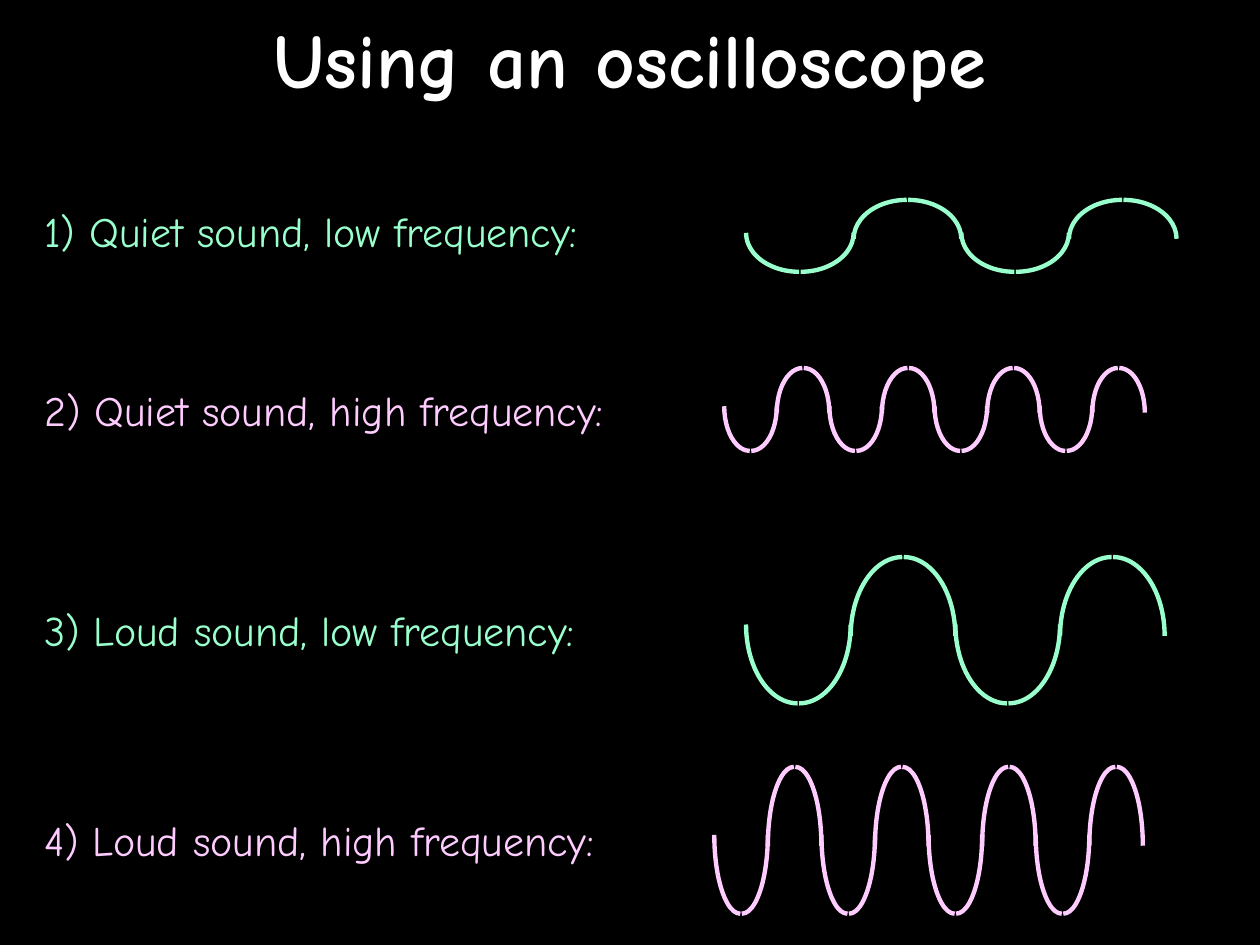
from pptx import Presentation
from pptx.dml.color import RGBColor
from pptx.enum.shapes import MSO_SHAPE
from pptx.enum.text import MSO_ANCHOR, PP_ALIGN
from pptx.util import Cm, Pt

ARC = MSO_SHAPE.ARC
MIDDLE = MSO_ANCHOR.MIDDLE
TOP = MSO_ANCHOR.TOP
CENTER = PP_ALIGN.CENTER
LEFT = PP_ALIGN.LEFT

COLORS = {"black": "000000", "white": "FFFFFF", "mint": "99FFCC", "pink": "FFCCFF"}
FONT = "Comic Neue"
ADJUSTMENT_PER_DEGREE = 0.6
SEAM = 0.03

prs = Presentation()
prs.slide_width = Cm(25.4)
prs.slide_height = Cm(19.05)
slide = prs.slides.add_slide(prs.slide_layouts[6])
slide.background.fill.solid()
slide.background.fill.fore_color.rgb = RGBColor.from_string(COLORS["black"])


def add_text(words, left, top, width, height, size, color, bold, align, anchor):
    frame = slide.shapes.add_textbox(Cm(left), Cm(top), Cm(width), Cm(height)).text_frame
    frame.word_wrap = True
    frame.vertical_anchor = anchor
    frame.text = words
    paragraph = frame.paragraphs[0]
    paragraph.alignment = align
    font = paragraph.runs[0].font
    font.name = FONT
    font.size = Pt(size)
    font.bold = bold
    font.color.rgb = RGBColor.from_string(color)


def add_quarter(wave, left, top, width, height, start, color):
    quarter = wave.shapes.add_shape(ARC, Cm(left), Cm(top), Cm(width), Cm(height))
    quarter.adjustments[0] = start * ADJUSTMENT_PER_DEGREE
    quarter.adjustments[1] = (start + 90) % 360 * ADJUSTMENT_PER_DEGREE
    quarter.shadow.inherit = False
    quarter.fill.background()
    quarter.line.color.rgb = RGBColor.from_string(color)
    quarter.line.width = Pt(2.5)


add_text("Using an oscilloscope", 0, 0, 25.4, 2.33, 44, COLORS["white"], True, CENTER, MIDDLE)

# label, label top, label width, colour, wave left, half-wave width, half-waves, trough top, crest top, height
sounds = [
    ("1) Quiet sound, low frequency:", 4.02, 13.76, "mint", 15.04, 2.17, 4, 3.91, 4.03, 1.57),
    ("2) Quiet sound, high frequency:", 7.62, 13.55, "pink", 14.6, 1.06, 8, 7.29, 7.42, 1.8),
    ("3) Loud sound, low frequency:", 12.07, 12.7, "mint", 15.04, 2.11, 4, 11, 11.23, 3.18),
    ("4) Loud sound, high frequency:", 16.3, 13.34, "pink", 14.4, 1.08, 8, 15.24, 15.46, 3.18),
]

for label, label_top, label_width, hue, left, half_wave, count, trough, crest, height in sounds:
    color = COLORS[hue]
    add_text(label, 0.64, label_top, label_width, 1.27, 24, color, False, LEFT, TOP)
    wave = slide.shapes.add_group_shape()
    for index in range(count):
        x = left + index * half_wave
        top, left_start, right_start = (crest, 180, 270) if index % 2 else (trough, 90, 0)
        add_quarter(wave, x, top, half_wave - SEAM, height, left_start, color)
        add_quarter(wave, x + SEAM, top, half_wave - SEAM, height, right_start, color)

prs.save("out.pptx")
